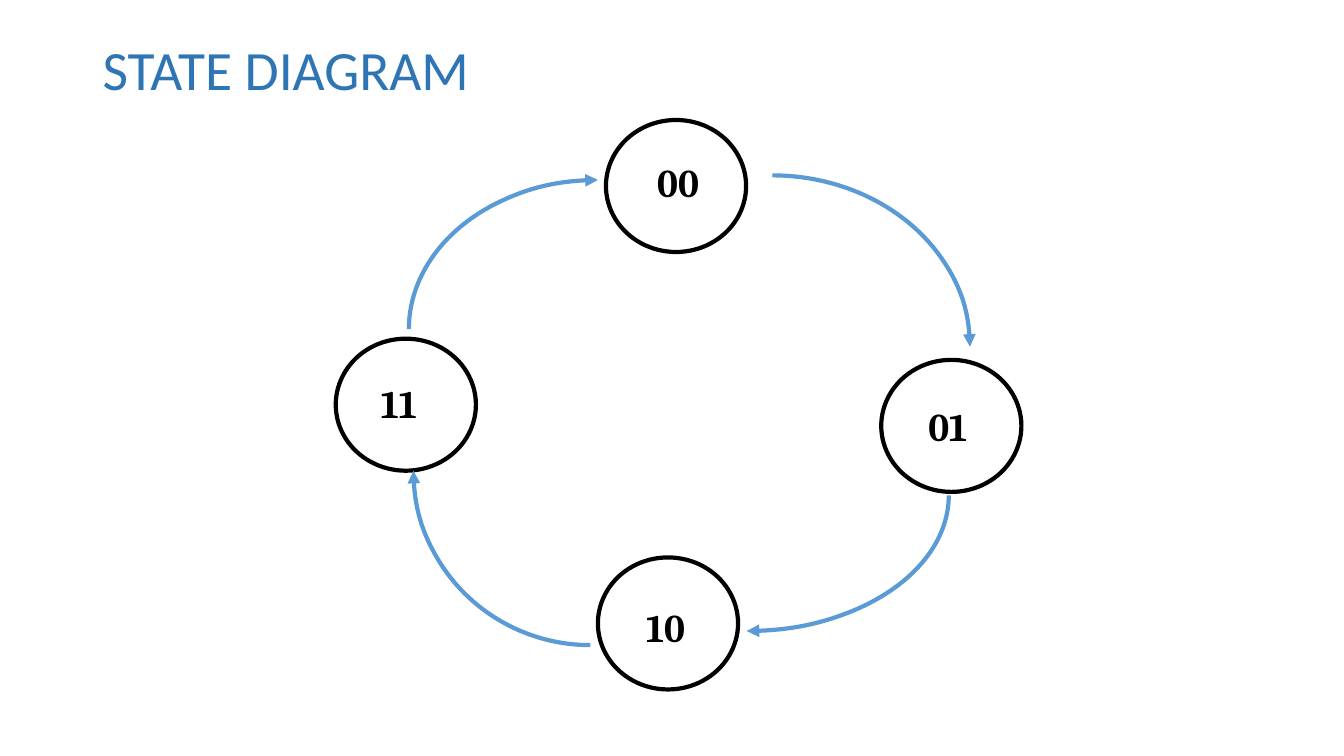
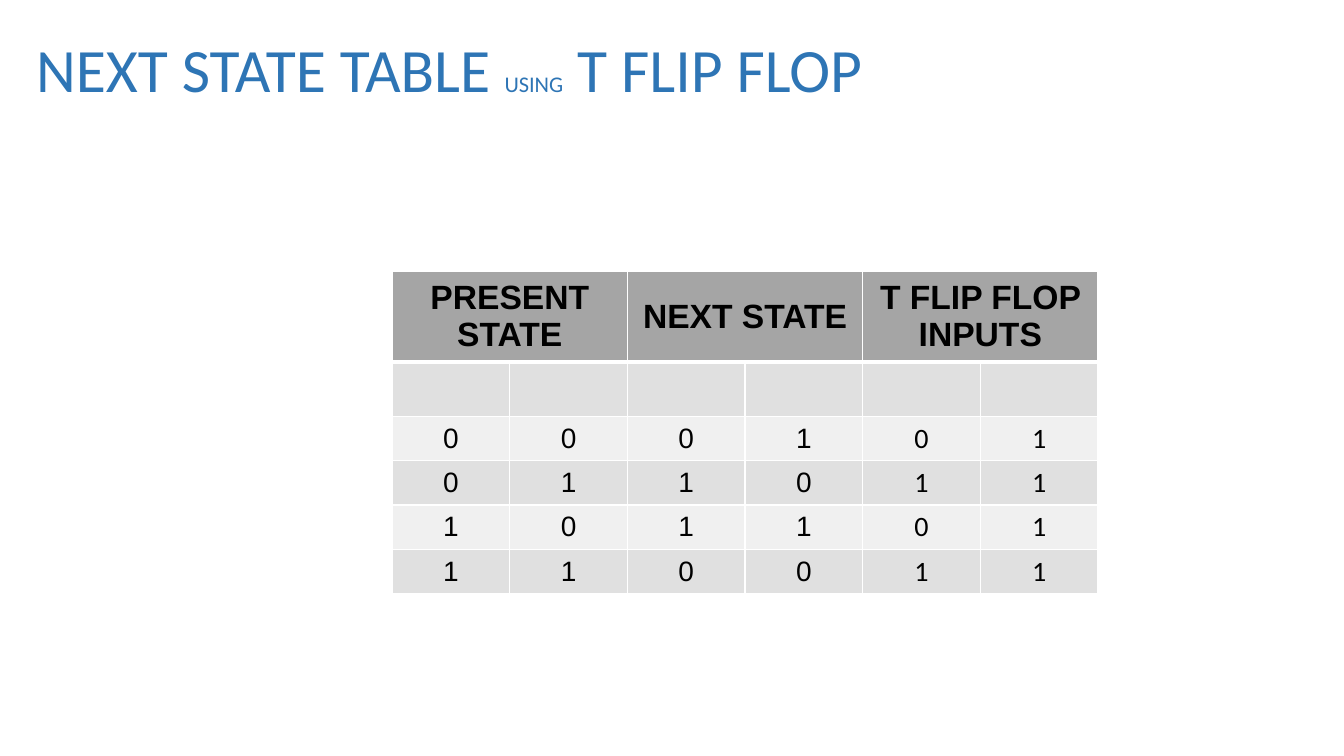
from dataclasses import dataclass

from lxml import etree
from pptx import Presentation
from pptx import util as u
from pptx.dml.color import RGBColor
from pptx.enum import shapes, text
from pptx.oxml import ns


@dataclass(frozen=True)
class Theme:
    """Colours, fonts and type sizes of the deck."""
    title: str = "2E75B5"
    ink: str = "000000"
    arrow: str = "5B9BD5"
    header: str = "A5A5A5"
    bands: tuple = ("E0E0E0", "F0F0F0")
    border: str = "FFFFFF"
    title_font: str = "Calibri"
    state_font: str = "Cambria"
    table_font: str = "Arial"
    input_font: str = "Calibri"
    state_size: float = 28
    header_size: float = 24
    cell_size: float = 20
    line: float = 3
    thin: float = 1


class Board:
    """Holds the style and the current page."""

    def __init__(self, theme):
        """Start an empty widescreen deck."""
        self.theme = theme
        self.deck = Presentation()
        self.deck.slide_width = u.Inches(13.33)
        self.deck.slide_height = u.Inches(7.5)
        self.page = None

    def new_page(self):
        """Add a blank page and make it current."""
        self.page = self.deck.slides.add_slide(self.deck.slide_layouts[6])

    def style(self, font, name, size, color, bold=False):
        """Apply a typeface, size, colour and weight to a font."""
        font.name, font.size, font.bold = name, u.Pt(size), bold
        font.color.rgb = RGBColor.from_string(color)

    def text_box(self, left, top, width, height):
        """Add a wrapping text box and return its frame."""
        box = self.page.shapes.add_textbox(*map(u.Inches, (left, top, width, height)))
        box.text_frame.word_wrap = True
        return box.text_frame

    def title(self, left, parts):
        """Write the page title from pairs of words and size."""
        frame = self.text_box(left, 0.32, 11.5, 0.8)
        frame.vertical_anchor = text.MSO_ANCHOR.MIDDLE
        para = frame.paragraphs[0]
        para.line_spacing = 0.9
        for words, size in parts:
            span = para.add_run()
            span.text = words
            self.style(span.font, self.theme.title_font, size, self.theme.title)

    def outline(self, kind, left, top, width, height, color):
        """Add an unfilled preset shape with a coloured line."""
        shape = self.page.shapes.add_shape(kind, *map(u.Inches, (left, top, width, height)))
        shape.shadow.inherit = False
        shape.fill.background()
        shape.line.color.rgb = RGBColor.from_string(color)
        shape.line.width = u.Pt(self.theme.line)
        return shape

    def state(self, name, left, top, label_left, label_top):
        """Draw a state circle and its label."""
        self.outline(shapes.MSO_SHAPE.OVAL, left, top, 1.39, 1.31, self.theme.ink)
        para = self.text_box(label_left, label_top, 0.97, 0.57).paragraphs[0]
        para.text = name
        self.style(para.font, self.theme.state_font, self.theme.state_size, self.theme.ink, True)

    def transition(self, left, top, width, height, turn):
        """Draw a quarter arc ending in an arrowhead."""
        arc = self.outline(shapes.MSO_SHAPE.ARC, left, top, width, height, self.theme.arrow)
        arc.rotation = turn
        etree.SubElement(arc.line._get_or_add_ln(), ns.qn("a:tailEnd"), type="triangle")

    def cell(self, cell, words, font, size, fill, bold, top=1, bottom=1):
        """Fill a table cell with centred text, borders and colour."""
        props = cell._tc.get_or_add_tcPr()
        for side, width in (("L", self.theme.thin), ("R", self.theme.thin), ("T", top), ("B", bottom)):
            edge = etree.SubElement(props, ns.qn(f"a:ln{side}"), w=str(u.Pt(width)))
            solid = etree.SubElement(edge, ns.qn("a:solidFill"))
            etree.SubElement(solid, ns.qn("a:srgbClr"), val=self.theme.border)
        cell.fill.solid()
        cell.fill.fore_color.rgb = RGBColor.from_string(fill)
        cell.vertical_anchor = text.MSO_ANCHOR.MIDDLE
        para = cell.text_frame.paragraphs[0]
        para.text = words
        para.alignment = text.PP_ALIGN.CENTER
        self.style(para.font, font, size, self.theme.ink, bold)

    def state_table(self, left, top, width, headings, rows):
        """Add a table whose headings each span two columns."""
        theme = self.theme
        columns = 2 * len(headings)
        heights = [0.9, 0.54] + [0.44] * (len(rows) - 1)
        table = self.page.shapes.add_table(
            len(heights), columns, *map(u.Inches, (left, top, width, sum(heights)))).table
        table.first_row = table.horz_banding = False
        for row, height in zip(table.rows, heights):
            row.height = u.Inches(height)
        for column in range(columns):
            heading = "" if column % 2 else headings[column // 2]
            self.cell(table.cell(0, column), heading, theme.table_font, theme.header_size,
                      theme.header, True, bottom=theme.line)
        for column in range(0, columns, 2):
            table.cell(0, column).merge(table.cell(0, column + 1))
        for index, values in enumerate(rows):
            for column in range(columns):
                font = theme.table_font if column < columns - 2 else theme.input_font
                self.cell(table.cell(index + 1, column), values[column:column + 1], font,
                          theme.cell_size, theme.bands[index % 2], False,
                          top=theme.thin if index else theme.line)


def main():
    """Build the state diagram and the next state table."""
    board = Board(Theme())

    board.new_page()
    board.title(0.92, [("STATE DIAGRAM", 39.6)])
    for state in (
        ("00", 6.01, 1.19, 6.42, 1.52),
        ("01", 8.74, 3.57, 9.11, 3.94),
        ("10", 5.93, 5.53, 6.31, 5.94),
        ("11", 3.33, 3.36, 3.68, 3.71),
    ):
        board.state(*state)
    arcs = ((5.7, 1.74, 3.92, 3.4), (6.06, 2.91, 2.69, 4.01),
            (4.1, 2.94, 3.51, 3.46), (4.45, 1.39, 2.96, 3.75))
    for quarter, arc in enumerate(arcs):
        board.transition(*arc, turn=90 * quarter)

    board.new_page()
    board.title(0.26, [("NEXT STATE TABLE ", 44), ("USING", 16), (" T FLIP FLOP", 44)])
    board.state_table(3.89, 2.69, 7, ("PRESENT STATE", "NEXT STATE", "T FLIP FLOP INPUTS"),
                      ("", "000101", "011011", "101101", "110011"))

    board.deck.save("out.pptx")


if __name__ == "__main__":
    main()
